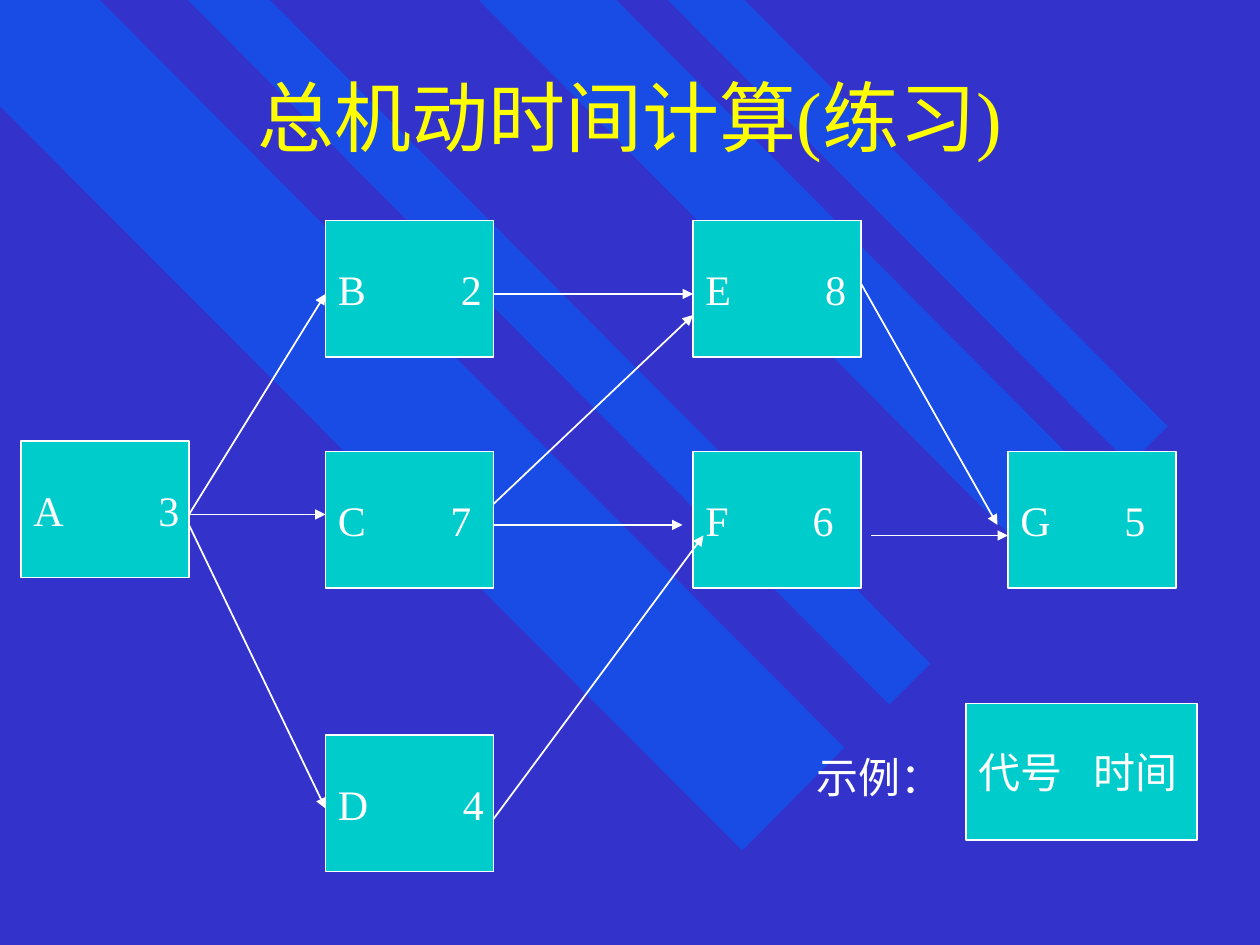
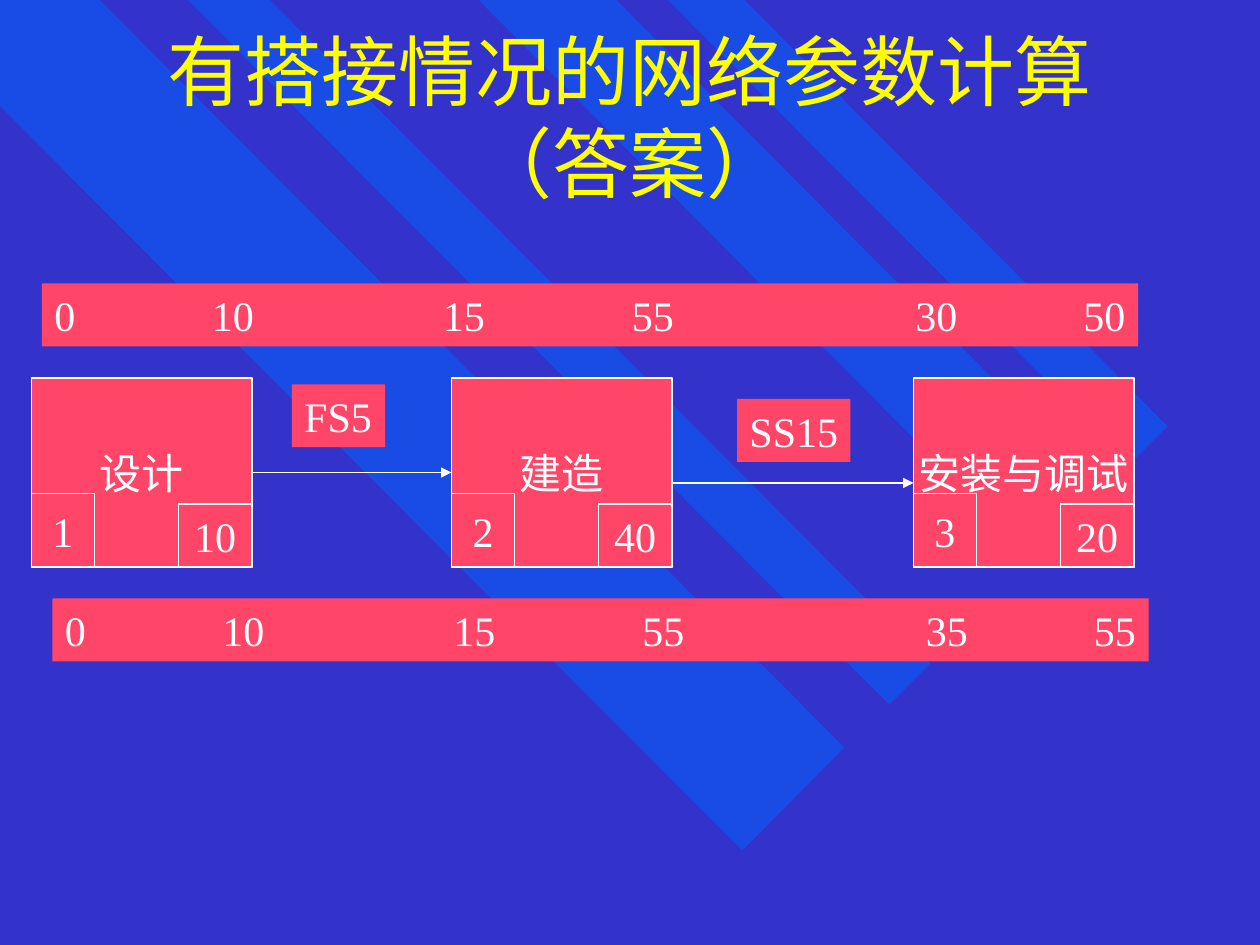
from lxml import etree
from pptx import Presentation
from pptx.dml.color import RGBColor
from pptx.enum.shapes import MSO_CONNECTOR, MSO_SHAPE
from pptx.enum.text import MSO_ANCHOR, PP_ALIGN
from pptx.oxml.ns import qn
from pptx.util import Pt

RECT, STRAIGHT = MSO_SHAPE.RECTANGLE, MSO_CONNECTOR.STRAIGHT
LEFT, CENTER = PP_ALIGN.LEFT, PP_ALIGN.CENTER
TOP, MIDDLE = MSO_ANCHOR.TOP, MSO_ANCHOR.MIDDLE
PX = 7620  # 120 px to the inch
FONT = "Times New Roman"
COLORS = {name: RGBColor.from_string(value) for name, value in {
    "back": "3333CC", "band": "0066FF", "title": "FFFF00",
    "white": "FFFFFF", "teal": "00CCCC", "red": "FF4568"}.items()}


def add_text(s, text, x, y, w, h, fill=None, line=None, size=24, color="white",
             align=LEFT, anchor=MIDDLE, tabs=(), wrap=True):
    box = [v * PX for v in (x, y, w, h)]
    if fill:
        sp = s.shapes.add_shape(RECT, *box)
        sp.shadow.inherit = False
        sp.fill.solid()
        sp.fill.fore_color.rgb = COLORS[fill]
        if line:
            sp.line.color.rgb = COLORS[line]
            sp.line.width = Pt(1)
        else:
            sp.line.fill.background()
    else:
        sp = s.shapes.add_textbox(*box)
    tf = sp.text_frame
    tf.word_wrap = wrap
    tf.vertical_anchor = anchor
    tf.margin_left, tf.margin_top, tf.margin_bottom = 12 * PX, 6 * PX, 6 * PX
    tf.margin_right = 0 if align == LEFT else 12 * PX
    p = tf.paragraphs[0]
    p.text = text
    p.alignment = align
    if tabs:
        tab_list = etree.SubElement(p._p.get_or_add_pPr(), qn("a:tabLst"))
        for pos in tabs:
            etree.SubElement(tab_list, qn("a:tab"), pos=str(pos * PX), algn="l")
    for r in p.runs:
        r.font.name = FONT
        r.font.size = Pt(size)
        r.font.color.rgb = COLORS[color]


def add_arrow(s, x1, y1, x2, y2):
    cx = s.shapes.add_connector(STRAIGHT, x1 * PX, y1 * PX, x2 * PX, y2 * PX)
    cx.line.color.rgb = COLORS["white"]
    cx.line.width = Pt(1)
    etree.SubElement(cx.line._get_or_add_ln(), qn("a:tailEnd"), type="triangle")
    etree.SubElement(cx._element.spPr, qn("a:effectLst"))


prs = Presentation()
prs.slide_width, prs.slide_height = 1200 * PX, 900 * PX

# Shared background, diagonal bands and title
BANDS = [
    [(804, 712), (95, 0), (0, 0), (0, 101), (707, 810)],
    [(257, 0), (886, 632), (847, 671), (179, 0)],
    [(587, 0), (1051, 467), (985, 533), (456, 0)],
    [(636, 0), (1076, 442), (1112, 406), (709, 0)],
]
slides = []
for title in ("总机动时间计算(练习)", "有搭接情况的网络参数计算\v（答案）"):
    s = prs.slides.add_slide(prs.slide_layouts[6])
    s.background.fill.solid()
    s.background.fill.fore_color.rgb = COLORS["back"]
    for points in BANDS:
        builder = s.shapes.build_freeform(*points[0], scale=PX)
        builder.add_line_segments(points[1:], close=True)
        sp = builder.convert_to_shape()
        sp.shadow.inherit = False
        sp.fill.solid()
        sp.fill.fore_color.rgb = COLORS["band"]
        sp.line.fill.background()
        clr = sp._element.spPr.find(".//" + qn("a:srgbClr"))
        etree.SubElement(clr, qn("a:alpha"), val="50000")
    add_text(s, title, 90, 30, 1020, 160, size=44, color="title", align=CENTER)
    slides.append(s)

# Slide 1: network exercise, each node with its code and time
s = slides[0]
NODES = [("A", 3, 20, 420, 119), ("B", 2, 310, 210, 117), ("C", 7, 310, 430, 107),
         ("D", 4, 310, 700, 119), ("E", 8, 660, 210, 114), ("F", 6, 660, 430, 102),
         ("G", 5, 960, 430, 99)]
for code, time, x, y, tab in NODES:
    add_text(s, f"{code}\t{time}", x, y, 160, 130, fill="teal", line="white", tabs=[tab])

ARROWS = [(180, 490, 310, 490), (470, 280, 660, 280), (830, 510, 960, 510),
          (470, 500, 650, 500), (180, 490, 310, 280), (180, 500, 310, 770),
          (820, 270, 950, 500), (470, 780, 670, 510), (470, 480, 660, 300)]
for ends in ARROWS:
    add_arrow(s, *ends)

# Legend
add_text(s, "代号\t时间", 920, 670, 220, 130, fill="teal", line="white", tabs=[110])
add_text(s, "示例：", 766, 710, 144, 60, anchor=TOP)

# Slide 2: tasks with number and duration
s = slides[1]
boxed = dict(fill="red", line="white", align=CENTER, wrap=False)
TASKS = [("设计", 10, 30), ("建造", 40, 430), ("安装与调试", 20, 870)]
for number, (task, duration, x) in enumerate(TASKS, 1):
    add_text(s, task, x, 360, 210, 180, **boxed)
    add_text(s, str(number), x, 470, 60, 70, **boxed)
    add_text(s, str(duration), x + 140, 480, 70, 60, **boxed)

# Links between tasks
add_arrow(s, 240, 450, 430, 450)
add_arrow(s, 640, 460, 870, 460)
add_text(s, "FS5", 278, 366, 89, 60, fill="red", anchor=TOP)
add_text(s, "SS15", 702, 380, 108, 60, fill="red", anchor=TOP)

# Early times above, late times below
for x, y, times in ((40, 270, (0, 10, 15, 55, 30, 50)), (50, 570, (0, 10, 15, 55, 35, 55))):
    add_text(s, "\t".join(map(str, times)), x, y, 1044, 60, fill="red", anchor=TOP,
             tabs=[150, 370, 550, 820, 980])

prs.save("out.pptx")
